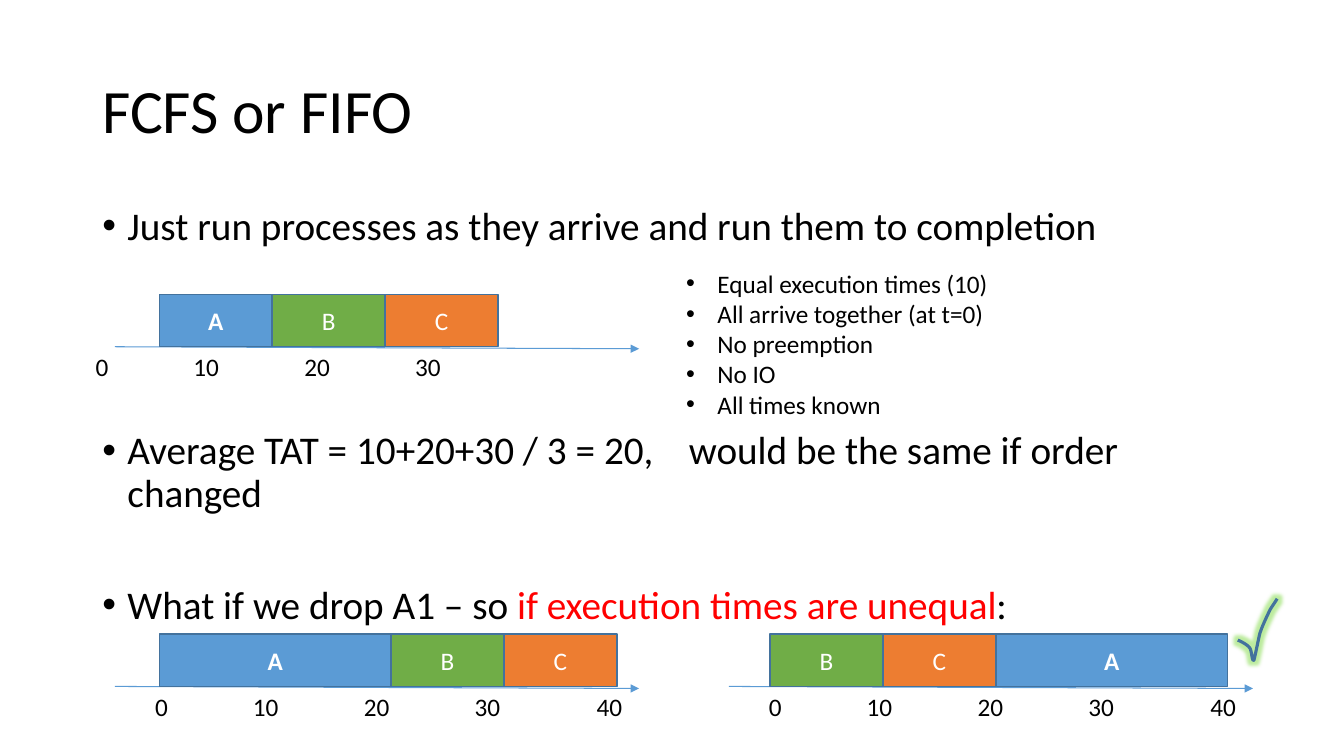
"""Build the FCFS scheduling slide with three process timelines."""
from dataclasses import dataclass
from typing import Optional

from lxml.etree import SubElement
from pptx import Presentation
from pptx.dml.color import RGBColor
from pptx.enum.shapes import MSO_CONNECTOR, MSO_SHAPE
from pptx.enum.text import MSO_ANCHOR, PP_ALIGN
from pptx.oxml.ns import qn
from pptx.util import Inches, Pt

COLORS = {
    "text": "000000", "alert": "FF0000", "label": "FFFFFF", "outline": "43729D",
    "axis": "5B9BD5", "A": "5B9BD5", "B": "70AD47", "C": "ED7D31", "glow": "92E060",
}
FONT = "Calibri"
SLIDE_WIDTH, SLIDE_HEIGHT = Inches(13.3333), Inches(7.5)
COLUMNS, ROWS = 40, 30
SHORT, LONG = 3.36, 6.9
BAR_ROWS, AXIS_COLUMNS, AXIS_DROP = 2.08, 15.6, 0.08
TICK_STOPS = (2.91, 6.21, 9.51, 13.14)


@dataclass(frozen=True)
class Job:
    name: str
    span: float


@dataclass(frozen=True)
class Timeline:
    axis_column: float
    bars_column: float
    bars_row: float
    ticks_column: float
    ticks: tuple[str, ...]
    jobs: tuple[Job, ...]


@dataclass(frozen=True)
class Point:
    words: tuple[tuple[str, str], ...]
    gap: float = 0
    stop: Optional[float] = None


LONG_A, SHORT_A, B, C = Job("A", LONG), Job("A", SHORT), Job("B", SHORT), Job("C", SHORT)
TO_30 = ("0", "10", "20", "30")
TO_40 = (*TO_30, "40")
TIMELINES = (
    Timeline(3.42, 4.74, 11.68, 2.55, TO_30, (SHORT_A, B, C)),
    Timeline(3.42, 4.74, 25.16, 4.32, TO_40, (LONG_A, B, C)),
    Timeline(21.69, 22.92, 25.16, 22.59, TO_40, (B, C, LONG_A)),
)
POINTS = (
    Point((("Just run processes as they arrive and run them to completion", "text"),)),
    Point((("Average TAT = 10+20+30 / 3 = 20,\twould be the same if order changed", "text"),),
          130, 17.46),
    Point((("What if we drop A1 – so ", "text"),
           ("if execution times are unequal", "alert"), (":", "text")), 50),
)
ASSUMPTIONS = ("Equal execution times (10)", "All arrive together (at t=0)",
               "No preemption", "No IO", "All times known")
TICK_START = (36.84, 25.4)
TICK_CURVES = (
    ((36.96, 25.48), (37.11, 25.56), (37.2, 25.72)),
    ((37.26, 25.84), (37.26, 26.28), (37.32, 26.2)),
    ((37.35, 26.08), (37.44, 25.44), (37.5, 25.12)),
    ((37.59, 24.76), (37.8, 24.2), (37.8, 24.2)),
    ((37.86, 24.05), (37.95, 23.91), (38.01, 23.76)),
)


def across(columns: float) -> int:
    """Convert grid columns to a length."""
    return round(SLIDE_WIDTH * columns / COLUMNS)


def down(rows: float) -> int:
    """Convert grid rows to a length."""
    return round(SLIDE_HEIGHT * rows / ROWS)


def rgb(key: str) -> RGBColor:
    """Look up a colour."""
    return RGBColor.from_string(COLORS[key])


def style(run, size: float, color: str = "text", bold: bool = False) -> None:
    """Set the font of a run."""
    run.font.name, run.font.size, run.font.bold = FONT, Pt(size), bold
    run.font.color.rgb = rgb(color)


def add_text(slide, column: float, row: float, width: float, height: float):
    """Add an empty wrapping text frame."""
    frame = slide.shapes.add_textbox(across(column), down(row), across(width), down(height)).text_frame
    frame.word_wrap = True
    return frame


def add_bullet(paragraph, indent: float) -> None:
    """Give a paragraph a hanging bullet."""
    properties = paragraph._p.get_or_add_pPr()
    properties.set("marL", str(Inches(indent)))
    properties.set("indent", str(-Inches(indent)))
    SubElement(properties, qn("a:buFont"), typeface="Arial")
    SubElement(properties, qn("a:buChar"), char="•")


def add_stops(paragraph, stops: tuple[float, ...]) -> None:
    """Set left tab stops measured in columns."""
    tabs = SubElement(paragraph._p.get_or_add_pPr(), qn("a:tabLst"))
    for stop in stops:
        SubElement(tabs, qn("a:tab"), pos=str(across(stop)), algn="l")


def draw_title(slide) -> None:
    """Draw the heading."""
    frame = add_text(slide, 2.75, 1.6, 34.5, 5.8)
    frame.vertical_anchor = MSO_ANCHOR.MIDDLE
    frame.text = "FCFS or FIFO"
    frame.paragraphs[0].line_spacing = 0.9
    style(frame.paragraphs[0].runs[0], 44)


def draw_points(slide) -> None:
    """Draw the main bullets."""
    frame = add_text(slide, 2.75, 8, 34.5, 19.04)
    for index, point in enumerate(POINTS):
        paragraph = frame.add_paragraph() if index else frame.paragraphs[0]
        paragraph.line_spacing, paragraph.space_before = 0.9, Pt(point.gap)
        add_bullet(paragraph, 0.25)
        if point.stop:
            add_stops(paragraph, (point.stop,))
        for words, color in point.words:
            run = paragraph.add_run()
            run.text = words
            style(run, 28, color)


def draw_assumptions(slide) -> None:
    """Draw the list of assumptions."""
    frame = add_text(slide, 20.13, 10.44, 11.61, 6.4)
    frame.text = "\n".join(ASSUMPTIONS)
    for paragraph in frame.paragraphs:
        add_bullet(paragraph, 0.31)
        style(paragraph.runs[0], 18)


def draw_timeline(slide, timeline: Timeline) -> None:
    """Draw an axis, its job bars and its time labels."""
    base = timeline.bars_row + BAR_ROWS
    axis = slide.shapes.add_connector(
        MSO_CONNECTOR.STRAIGHT, across(timeline.axis_column), down(base),
        across(timeline.axis_column + AXIS_COLUMNS), down(base + AXIS_DROP))
    axis.line.color.rgb, axis.line.width = rgb("axis"), Pt(0.75)
    SubElement(axis.line._get_or_add_ln(), qn("a:tailEnd"), type="triangle")
    SubElement(axis._element.spPr, qn("a:effectLst"))

    column = timeline.bars_column
    for job in timeline.jobs:
        bar = slide.shapes.add_shape(MSO_SHAPE.RECTANGLE, across(column), down(timeline.bars_row),
                                     across(job.span), down(BAR_ROWS))
        bar.shadow.inherit = False
        bar.fill.solid()
        bar.fill.fore_color.rgb = rgb(job.name)
        bar.line.color.rgb, bar.line.width = rgb("outline"), Pt(1)
        bar.text_frame.text = job.name
        bar.text_frame.vertical_anchor = MSO_ANCHOR.MIDDLE
        bar.text_frame.paragraphs[0].alignment = PP_ALIGN.CENTER
        style(bar.text_frame.paragraphs[0].runs[0], 18, "label", job.name == "A")
        column += job.span

    frame = add_text(slide, timeline.ticks_column, base, 15.84, 1.6)
    frame.text = "\t".join(timeline.ticks)
    add_stops(frame.paragraphs[0], TICK_STOPS[:len(timeline.ticks) - 1])
    style(frame.paragraphs[0].runs[0], 18)


def draw_check_mark(slide, steps: int = 8) -> None:
    """Draw the glowing check mark along its Bezier curves."""
    start, outline = TICK_START, []
    for curve in TICK_CURVES:
        for step in range(1, steps + 1):
            t = step / steps
            weights = ((1 - t) ** 3, 3 * t * (1 - t) ** 2, 3 * t * t * (1 - t), t ** 3)
            column, row = (sum(w * p[axis] for w, p in zip(weights, (start, *curve))) for axis in (0, 1))
            outline.append((across(column), down(row)))
        start = curve[-1]
    builder = slide.shapes.build_freeform(across(TICK_START[0]), down(TICK_START[1]))
    builder.add_line_segments(outline, close=False)
    mark = builder.convert_to_shape()
    mark.shadow.inherit = False
    mark.fill.background()
    mark.line.color.rgb, mark.line.width = rgb("outline"), Pt(2.25)
    glow = SubElement(mark._element.spPr.find(qn("a:effectLst")), qn("a:glow"), rad=str(Pt(5)))
    SubElement(SubElement(glow, qn("a:srgbClr"), val=COLORS["glow"]), qn("a:alpha"), val="60000")


def main() -> None:
    """Build and save the slide."""
    deck = Presentation()
    deck.slide_width, deck.slide_height = SLIDE_WIDTH, SLIDE_HEIGHT
    slide = deck.slides.add_slide(deck.slide_layouts[6])
    draw_title(slide)
    draw_points(slide)
    for timeline in TIMELINES:
        draw_timeline(slide, timeline)
    draw_assumptions(slide)
    draw_check_mark(slide)
    deck.save("out.pptx")


if __name__ == "__main__":
    main()
